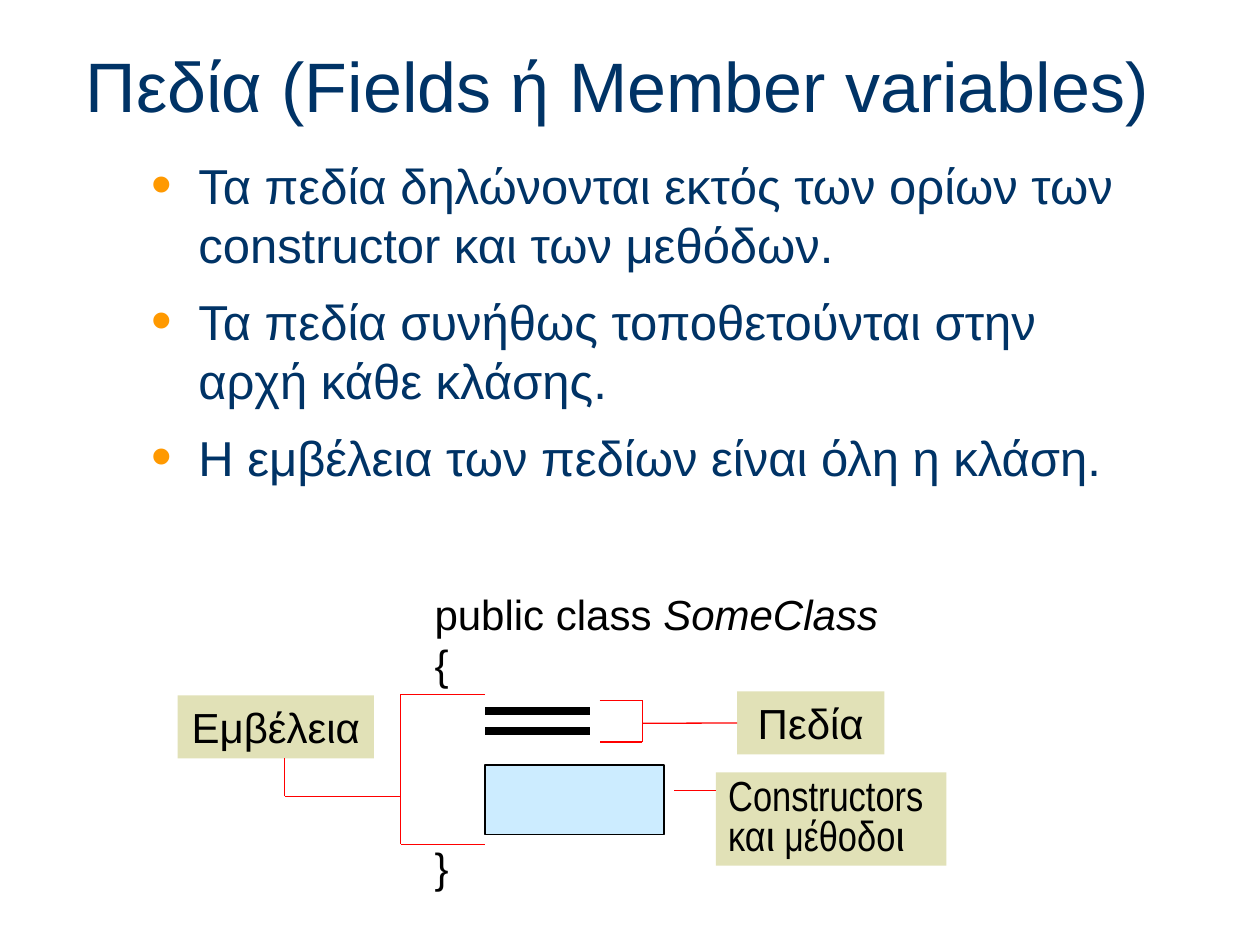
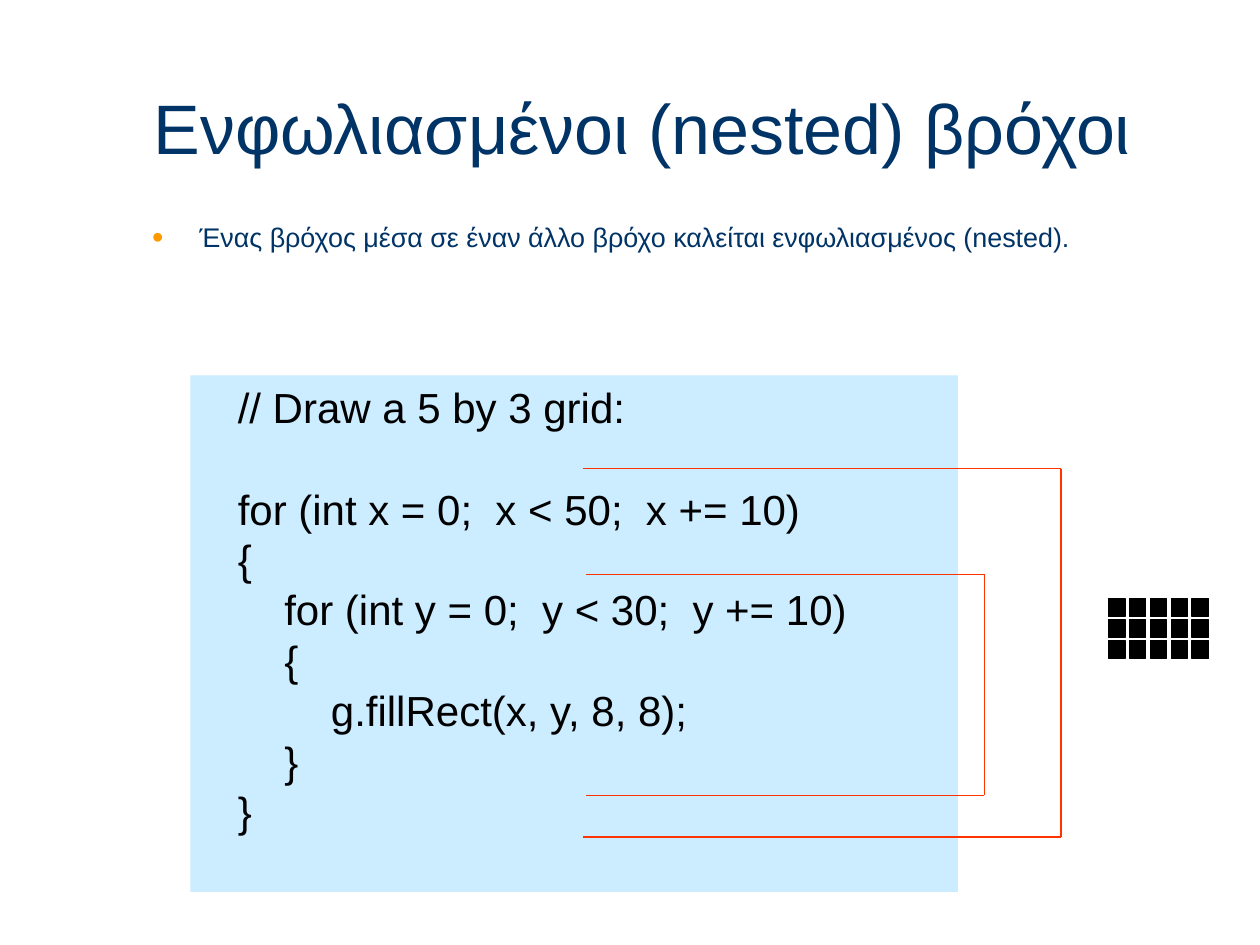
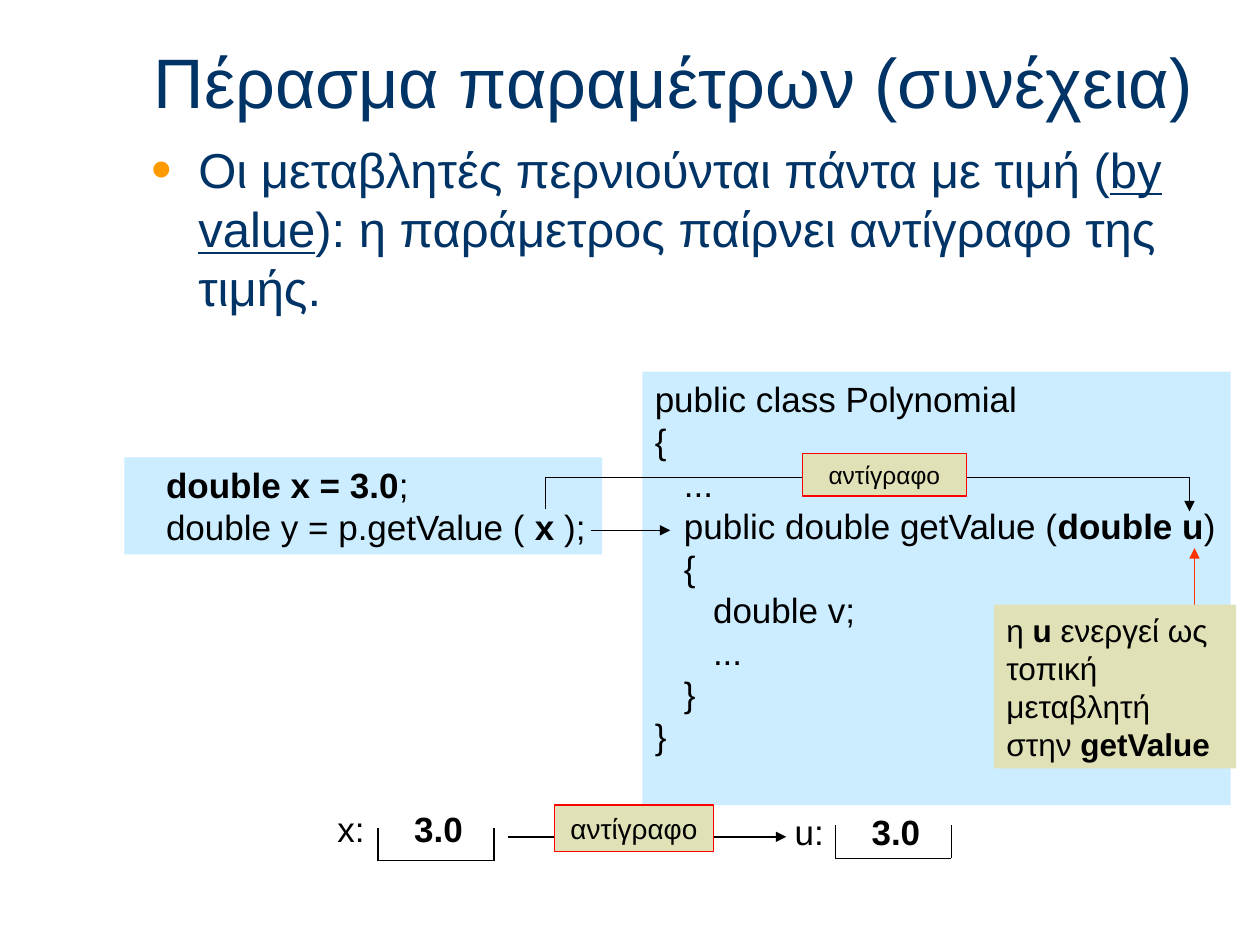
from dataclasses import dataclass
from itertools import pairwise, product

from lxml import etree
from pptx import Presentation
from pptx import util as u
from pptx.dml.color import RGBColor
from pptx.enum import shapes, text
from pptx.oxml import ns

COLORS = {
    "navy": "003366",
    "orange": "FF9900",
    "black": "000000",
    "sky": "CCECFF",
    "khaki": "E1E1B7",
    "red": "FF0000",
    "vermilion": "FF3300",
}
Point = tuple[float, float]


@dataclass(frozen=True)
class Frame:
    left: float
    top: float
    width: float
    height: float

    def lengths(self) -> list[u.Cm]:
        return [u.Cm(v) for v in (self.left, self.top, self.width, self.height)]


@dataclass(frozen=True)
class Span:
    text: str
    bold: bool = False
    italic: bool = False
    underline: bool = False


@dataclass(frozen=True)
class Line:
    spans: tuple[Span, ...]
    before: float = 0


@dataclass(frozen=True)
class Style:
    size: float
    color: str = "black"
    font: str = "Arial"
    centered: bool = False
    spacing: float | None = None
    bullet: bool = False
    middle: bool = False
    side: float = 0.25
    tab: float | None = None


TITLE = Style(40, "navy", middle=True, side=0.23)
BODY = Style(28, "navy", bullet=True, side=0.23)
SMALL_BODY = Style(15.4, "navy", bullet=True, side=0.23)
CODE = Style(24)
SMALL_CODE = Style(20)
LABEL = Style(24, centered=True)
NARROW_LABEL = Style(24, font="Arial Narrow", spacing=0.8)
VARIABLE = Style(20, tab=1.55)
CODE_PITCH = 29


def rgb(name: str) -> RGBColor:
    return RGBColor.from_string(COLORS[name])


def line(*spans: str | Span, before: float = 0) -> Line:
    return Line(tuple(Span(s) if isinstance(s, str) else s for s in spans), before)


def lines(source: str, before: float = 0) -> list[Line]:
    return [line(row, before=before if index else 0)
            for index, row in enumerate(source.split("\n"))]


def add_bullet(para) -> None:
    props = para._p.get_or_add_pPr()
    props.set("marL", str(u.Cm(0.95)))
    props.set("indent", str(u.Cm(-0.95)))
    tint = etree.SubElement(props, ns.qn("a:buClr"))
    etree.SubElement(tint, ns.qn("a:srgbClr"), val=COLORS["orange"])
    etree.SubElement(props, ns.qn("a:buSzPct"), val="120000")
    etree.SubElement(props, ns.qn("a:buFont"), typeface="Arial")
    etree.SubElement(props, ns.qn("a:buChar"), char="•")


def add_tab(para, position: float) -> None:
    stops = etree.SubElement(para._p.get_or_add_pPr(), ns.qn("a:tabLst"))
    etree.SubElement(stops, ns.qn("a:tab"), pos=str(u.Cm(position)), algn="l")


def write(box, content: list[Line], style: Style) -> None:
    frame = box.text_frame
    frame.word_wrap = True
    frame.margin_left = frame.margin_right = u.Cm(style.side)
    frame.margin_top = frame.margin_bottom = u.Cm(0.13)
    anchor = text.MSO_ANCHOR
    frame.vertical_anchor = anchor.MIDDLE if style.middle else anchor.TOP
    for index, row in enumerate(content):
        para = frame.add_paragraph() if index else frame.paragraphs[0]
        para.alignment = text.PP_ALIGN.CENTER if style.centered else text.PP_ALIGN.LEFT
        if style.bullet:
            add_bullet(para)
        if style.tab:
            add_tab(para, style.tab)
        if row.before:
            para.space_before = u.Pt(row.before)
        if style.spacing:
            para.line_spacing = style.spacing
        for part in row.spans:
            span = para.add_run()
            span.text = part.text
            span.font.name = style.font
            span.font.size = u.Pt(style.size)
            span.font.color.rgb = rgb(style.color)
            span.font.bold = part.bold
            span.font.italic = part.italic
            span.font.underline = part.underline


def add_text(page, frame: Frame, content: list[Line], style: Style) -> None:
    write(page.shapes.add_textbox(*frame.lengths()), content, style)


def add_panel(page, frame: Frame, fill: str, content: list[Line] | None = None,
              style: Style = CODE, border: str | None = None):
    box = page.shapes.add_shape(shapes.MSO_SHAPE.RECTANGLE, *frame.lengths())
    box.shadow.inherit = False
    box.fill.solid()
    box.fill.fore_color.rgb = rgb(fill)
    if border:
        box.line.color.rgb = rgb(border)
        box.line.width = u.Pt(0.75)
    else:
        box.line.fill.background()
    if content:
        write(box, content, style)
    return box


def paint_stroke(stroke, color: str, width: float, arrow: bool) -> None:
    stroke.line.color.rgb = rgb(color)
    stroke.line.width = u.Pt(width)
    if arrow:
        outline = stroke.line._get_or_add_ln()
        etree.SubElement(outline, ns.qn("a:tailEnd"), type="triangle")


def add_line(page, start: Point, end: Point, color: str,
             width: float = 0.75, arrow: bool = False):
    stroke = page.shapes.add_connector(
        shapes.MSO_CONNECTOR.STRAIGHT, *[u.Cm(v) for v in (*start, *end)])
    paint_stroke(stroke, color, width, arrow)
    etree.SubElement(stroke._element.spPr, ns.qn("a:effectLst"))
    return stroke


def add_chain(page, points: list[Point], color: str) -> None:
    for start, end in pairwise(points):
        add_line(page, start, end, color)


def add_bracket(page, arm: float, spine: float, top: float, bottom: float,
                color: str) -> None:
    add_chain(page, [(arm, top), (spine, top), (spine, bottom), (arm, bottom)], color)


def add_route(page, points: list[Point], color: str) -> None:
    corners = [(u.Cm(x), u.Cm(y)) for x, y in points]
    builder = page.shapes.build_freeform(*corners[0])
    builder.add_line_segments(corners[1:], close=False)
    route = builder.convert_to_shape()
    route.shadow.inherit = False
    route.fill.background()
    paint_stroke(route, color, 0.75, True)


def add_variable(page, name: str, left: float, top: float, tray_top: float) -> None:
    tray_left, tray_right = left + 1.07, left + 3.41
    tray_bottom = tray_top + 0.66
    add_chain(page, [(tray_left, tray_top), (tray_left, tray_bottom),
                     (tray_right, tray_bottom), (tray_right, tray_top)], "black")
    add_text(page, Frame(left, top, 3.38, 1.12),
             [line(f"{name}:\t", Span("3.0", bold=True))], VARIABLE)


def add_page(deck, title: str, frame: Frame):
    page = deck.slides.add_slide(deck.slide_layouts[6])
    add_text(page, frame, lines(title), TITLE)
    return page


def build_fields(deck) -> None:
    page = add_page(deck, "Πεδία (Fields ή Member variables)",
                    Frame(1.5, 0.51, 23.47, 2.39))
    add_text(page, Frame(2.82, 3, 19.84, 7.65), lines(
        "Τα πεδία δηλώνονται εκτός των ορίων των constructor και των μεθόδων.\n"
        "Τα πεδία συνήθως τοποθετούνται στην αρχή κάθε κλάσης.\n"
        "Η εμβέλεια των πεδίων είναι όλη η κλάση.", before=10.5), BODY)
    add_text(page, Frame(8.51, 11.73, 13.77, 6.35), [
        line("public class ", Span("SomeClass", italic=True)),
        line("{"),
        line("}", before=3 * CODE_PITCH),
    ], CODE)
    for bar_y in (14.33, 14.73):
        add_line(page, (9.78, bar_y), (11.89, bar_y), "black", 4.5)
    add_panel(page, Frame(9.78, 15.42, 3.61, 1.4), "sky", border="black")

    fields = add_panel(page, Frame(14.86, 13.94, 2.97, 1.27), "khaki",
                       lines("Πεδία"), LABEL)
    add_panel(page, Frame(14.43, 15.57, 4.65, 1.88), "khaki",
              lines("Constructors και μέθοδοι"), NARROW_LABEL)
    add_panel(page, Frame(3.58, 14.02, 3.96, 1.27), "khaki", lines("Εμβέλεια"), LABEL)

    fields_link = add_line(page, (12.95, 14.58), (14.86, 14.58), "red")
    fields_link.end_connect(fields, 1)
    add_bracket(page, 12.09, 12.95, 14.12, 14.96, "red")
    add_line(page, (13.59, 15.93), (14.43, 15.93), "red")
    add_chain(page, [(5.74, 15.29), (5.74, 16.05), (8.08, 16.05)], "red")
    add_bracket(page, 9.78, 8.08, 14, 17.02, "red")


def build_nested_loops(deck) -> None:
    page = add_page(deck, "Ενφωλιασμένοι (nested) βρόχοι",
                    Frame(2.87, 1.35, 21.59, 2.39))
    add_text(page, Frame(2.84, 4.32, 21.59, 1.7), lines(
        "Ένας βρόχος μέσα σε έναν άλλο βρόχο καλείται ενφωλιασμένος (nested)."),
        SMALL_BODY)
    add_panel(page, Frame(3.84, 7.57, 15.47, 10.41), "sky", [
        line("   // Draw a 5 by 3 grid:"),
        line("   for (int x = 0;  x < 50;  x += 10)", before=CODE_PITCH),
        *lines("   {\n"
               "       for (int y = 0;  y < 30;  y += 10)\n"
               "       {\n"
               "           g.fillRect(x, y, 8, 8);\n"
               "       }\n"
               "   }"),
    ], CODE)
    add_bracket(page, 11.81, 19.84, 11.58, 16.03, "vermilion")
    add_bracket(page, 11.75, 21.39, 9.45, 16.87, "vermilion")
    pitch = 0.42
    for row, column in product(range(3), range(5)):
        cell = Frame(22.35 + column * pitch, 12.07 + row * pitch, 0.33, 0.36)
        add_panel(page, cell, "black", border="black")


def build_parameters(deck) -> None:
    page = add_page(deck, "Πέρασμα παραμέτρων (συνέχεια)",
                    Frame(2.87, 0.43, 21.59, 2.39))
    add_text(page, Frame(2.82, 2.69, 21.59, 3.86), [
        line("Οι μεταβλητές περνιούνται πάντα με τιμή (",
             Span("by value", underline=True),
             "): η παράμετρος παίρνει αντίγραφο της τιμής."),
    ], BODY)
    add_panel(page, Frame(2.51, 9.22, 9.63, 1.96), "sky", [
        line("   ", Span("double x = 3.0", bold=True), ";"),
        line("   double y = p.getValue ( ", Span("x", bold=True), " );"),
    ], SMALL_CODE)
    add_panel(page, Frame(12.95, 7.49, 11.86, 8.74), "sky", [
        *lines("public class Polynomial\n{\n   ..."),
        line("   public double getValue (", Span("double u", bold=True), ")"),
        *lines("   {\n      double v;\n      ...\n   }\n}"),
    ], SMALL_CODE)

    add_variable(page, "x", 6.55, 16.15, 16.69)
    add_variable(page, "u", 15.77, 16.21, 16.64)
    add_line(page, (24.08, 12.55), (24.08, 11.05), "vermilion", arrow=True)
    add_line(page, (11.91, 10.69), (13.51, 10.69), "black", arrow=True)
    add_line(page, (10.24, 16.87), (15.85, 16.87), "black", arrow=True)
    add_route(page, [(11, 10.26), (11, 9.63), (23.98, 9.63), (23.98, 10.31)], "black")
    for frame, size in ((Frame(11.18, 16.23, 3.2, 0.94), 16),
                        (Frame(16.18, 9.14, 3.3, 0.86), 14)):
        add_panel(page, frame, "khaki", lines("αντίγραφο"),
                  Style(size, centered=True), border="red")
    add_panel(page, Frame(20.04, 12.19, 4.88, 3.3), "khaki", [
        line("η", Span(" u", bold=True), " ενεργεί ως τοπική μεταβλητή στην ",
             Span("getValue", bold=True)),
    ], Style(18))


def main() -> None:
    deck = Presentation()
    deck.slide_width = u.Cm(25.4)
    deck.slide_height = u.Cm(19.05)
    build_fields(deck)
    build_nested_loops(deck)
    build_parameters(deck)
    deck.save("out.pptx")


if __name__ == "__main__":
    main()
